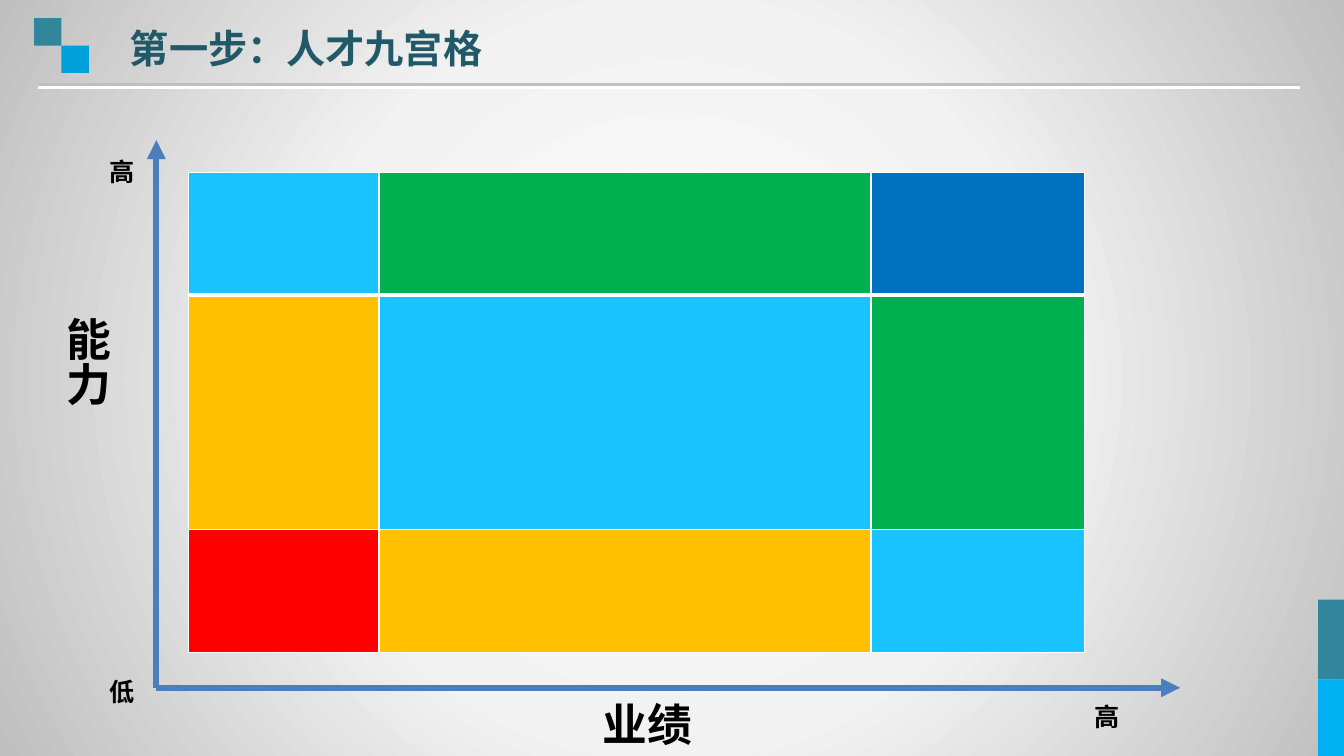
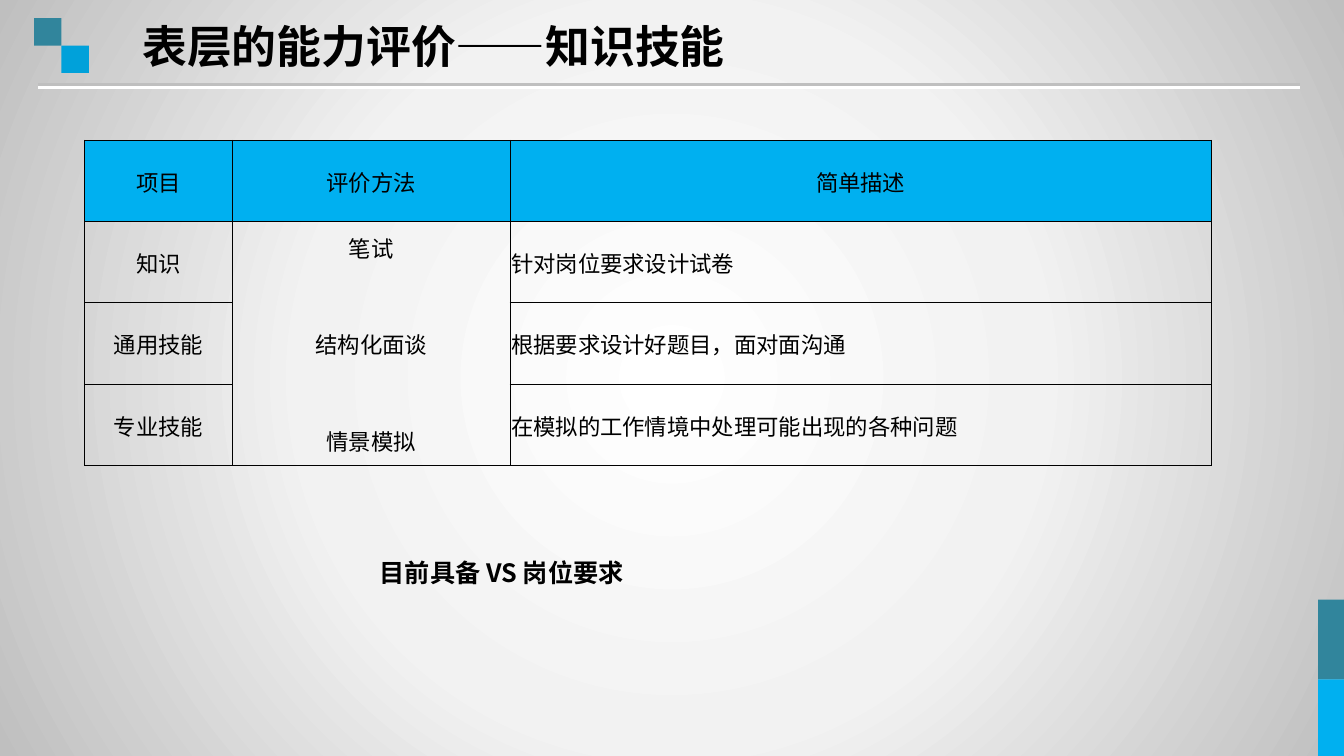
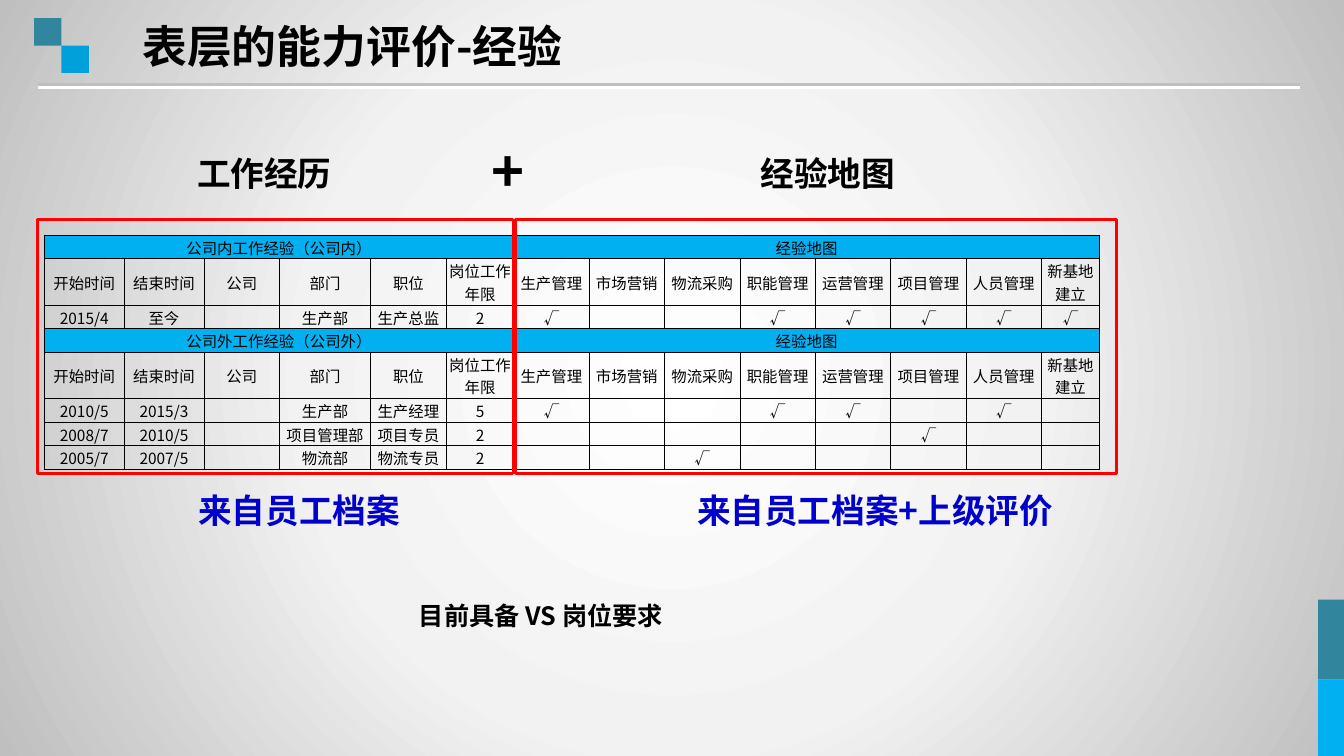
from collections import namedtuple

from lxml.etree import SubElement
from pptx import Presentation
from pptx.dml.color import RGBColor
from pptx.enum.shapes import MSO_CONNECTOR as Connector, MSO_SHAPE as Preset
from pptx.enum.text import MSO_ANCHOR as Anchor, MSO_AUTO_SIZE as AutoSize, PP_ALIGN as Align
from pptx.oxml import parse_xml
from pptx.oxml.ns import nsdecls, qn
from pptx.util import Cm, Pt

FONT = "Noto Sans CJK SC"
COLORS = {
    "black": "000000", "white": "FFFFFF", "pale": "F2F2F2", "gray": "BFBFBF",
    "teal": "31859C", "dark_teal": "215968", "cyan": "00B0F0", "azure": "00A1DA",
    "sky": "19C3FF", "green": "00B050", "blue": "0070C0", "amber": "FFC000",
    "red": "FF0000", "axis": "4B7EBC", "caption": "0000CC",
}
SLIDE_WIDTH, SLIDE_HEIGHT = 33.87, 19.05
COMPARISON = "目前具备 VS 岗位要求"
TICK = "√"

Box = namedtuple("Box", "left top width height")


def color(name):
    return RGBColor.from_string(COLORS[name])


def lengths(values):
    return [Cm(value) for value in values]


def within(box, left, top, width, height):
    return Box(box.left + left, box.top + top, width, height)


def set_font(paragraph, size, color_name="black", bold=False):
    font = paragraph.font
    font.size = Pt(size)
    font.bold = bold
    font.color.rgb = color(color_name)
    font.name = FONT
    SubElement(font._rPr, qn("a:ea"), typeface=FONT)


def fill_frame(shape, text, size, color_name="black"):
    frame = shape.text_frame
    frame.word_wrap = True
    frame.auto_size = AutoSize.NONE
    frame.vertical_anchor = Anchor.MIDDLE
    paragraph = frame.paragraphs[0]
    paragraph.text = text
    paragraph.alignment = Align.LEFT
    set_font(paragraph, size, color_name, bold=True)
    return paragraph


def add_text(slide, box, text, size, color_name="black"):
    return fill_frame(slide.shapes.add_textbox(*lengths(box)), text, size, color_name)


def add_rectangle(slide, box, fill=None, line=None):
    shape = slide.shapes.add_shape(Preset.RECTANGLE, *lengths(box))
    shape.shadow.inherit = False
    if fill:
        shape.fill.solid()
        shape.fill.fore_color.rgb = color(fill)
    else:
        shape.fill.background()
    if line:
        shape.line.color.rgb = color(line)
        shape.line.width = Pt(2)
    else:
        shape.line.fill.background()
    return shape


def add_line(slide, start, end, color_name, width):
    line = slide.shapes.add_connector(Connector.STRAIGHT, *lengths(start + end))
    line.line.color.rgb = color(color_name)
    line.line.width = Pt(width)
    effects = SubElement(line.element.spPr, qn("a:effectLst"))
    return line, effects


def add_backdrop(slide):
    backdrop = add_rectangle(slide, Box(0, 0, SLIDE_WIDTH, SLIDE_HEIGHT))
    stops = "".join(
        f'<a:gs pos="{position}"><a:srgbClr val="{COLORS[name]}"/></a:gs>'
        for position, name in ((0, "white"), (48000, "pale"), (100000, "gray"))
    )
    gradient = parse_xml(
        f'<a:gradFill {nsdecls("a")} rotWithShape="1"><a:gsLst>{stops}</a:gsLst>'
        '<a:path path="circle"><a:fillToRect l="50000" t="50000" r="50000" b="50000"/>'
        "</a:path></a:gradFill>"
    )
    properties = backdrop.element.spPr
    properties.replace(properties.find(qn("a:noFill")), gradient)


def add_header_rule(slide):
    rule, effects = add_line(slide, (0.97, 2.13), (32.77, 2.13), "gray", 2.25)
    shadow = SubElement(effects, qn("a:outerShdw"), blurRad="0", dist=str(Pt(2)),
                        dir="5400000", algn="t", rotWithShape="0")
    SubElement(shadow, qn("a:srgbClr"), val=COLORS["white"])


def dress_layout(layout, slide):
    for placeholder in list(layout.placeholders):
        if placeholder.placeholder_format.idx:
            placeholder.element.getparent().remove(placeholder.element)
    add_backdrop(slide)
    add_rectangle(slide, Box(33.22, 15.11, 0.65, 2.01), "teal")
    add_rectangle(slide, Box(33.22, 17.12, 0.65, 1.93), "cyan")
    add_header_rule(slide)
    add_rectangle(slide, Box(0.86, 0.46, 0.69, 0.69), "teal")
    add_rectangle(slide, Box(1.55, 1.15, 0.69, 0.69), "azure")
    for shape in list(slide.shapes):
        if not shape.is_placeholder:
            layout.shapes.element.append(shape.element)


def set_title(slide, box, text, size=32, color_name="black"):
    title = slide.shapes.title
    title.left, title.top, title.width, title.height = lengths(box)
    fill_frame(title, text, size, color_name)


def set_borders(cell, color_name, width, **special):
    properties = cell._tc.get_or_add_tcPr()
    for side in "LRTB":
        line = SubElement(properties, qn(f"a:ln{side}"), w=str(Pt(special.get(side, width))))
        fill = SubElement(line, qn("a:solidFill"))
        SubElement(fill, qn("a:srgbClr"), val=COLORS[color_name])


def add_table(slide, left, top, columns, rows):
    box = Box(left, top, sum(columns), sum(rows))
    table = slide.shapes.add_table(len(rows), len(columns), *lengths(box)).table
    table.first_row = table.horz_banding = False
    for column, width in zip(table.columns, columns):
        column.width = Cm(width)
    for row, height in zip(table.rows, rows):
        row.height = Cm(height)
    return table


def format_cell(cell, text, size, fill=None, align=Align.CENTER, anchor=Anchor.MIDDLE, gap=0):
    cell.margin_left = cell.margin_right = cell.margin_top = Cm(0.03)
    cell.margin_bottom = 0
    cell.vertical_anchor = anchor
    set_borders(cell, "black", 0.5)
    if fill:
        cell.fill.solid()
        cell.fill.fore_color.rgb = color(fill)
    else:
        cell.fill.background()
    cell.text_frame.text = text
    for index, paragraph in enumerate(cell.text_frame.paragraphs):
        paragraph.alignment = align
        set_font(paragraph, size)
        if index:
            paragraph.space_before = Pt(gap)
        if not text:
            SubElement(paragraph._p, qn("a:endParaRPr"), sz=str(size * 100))


def add_nine_box(slide, left, top):
    fills = (
        ("sky", "green", "blue"),
        ("amber", "sky", "green"),
        ("red", "amber", "sky"),
    )
    table = add_table(slide, left, top, (4.8, 12.4, 5.38), (3.1, 5.9, 3.1))
    heavy_sides = ({"B": 3}, {"T": 3}, {})
    for row, (names, heavy) in enumerate(zip(fills, heavy_sides)):
        for column, name in enumerate(names):
            cell = table.cell(row, column)
            set_borders(cell, "white", 1, **heavy)
            cell.fill.solid()
            cell.fill.fore_color.rgb = color(name)


def add_axes(slide, box):
    origin = (box.left, box.top + box.height)
    ends = ((box.left, box.top), (box.left + box.width, origin[1]))
    for end in ends:
        axis, _ = add_line(slide, origin, end, "axis", 4.5)
        SubElement(axis.line._get_or_add_ln(), qn("a:tailEnd"), type="triangle")
    ability = add_text(slide, within(box, -2.52, 4.19, 2.39, 3), "能力", 32)
    ability.line_spacing = 0.83
    add_text(slide, within(box, 11, 13.89, 8.74, 1.63), "业绩", 32)
    for left, top, text in ((-1.43, 0.28, "高"), (-1.43, 13.39, "低"), (23.39, 14.02, "高")):
        add_text(slide, within(box, left, top, 1.91, 1.02), text, 18)


def add_skill_table(slide, left, top):
    rows = (
        ("项目", "评价方法", "简单描述"),
        ("知识", "笔试\n结构化面谈\n情景模拟", "针对岗位要求设计试卷"),
        ("通用技能", "", "根据要求设计好题目，面对面沟通"),
        ("专业技能", "", "在模拟的工作情境中处理可能出现的各种问题"),
    )
    table = add_table(slide, left, top, (3.73, 6.99, 17.68), [2.05] * len(rows))
    table.cell(1, 1).merge(table.cell(3, 1))
    for row, texts in enumerate(rows):
        for column, text in enumerate(texts):
            described = row > 0 and column == 2
            format_cell(table.cell(row, column), text, 16,
                        fill=None if row else "cyan",
                        align=Align.LEFT if described else Align.CENTER, gap=46)


def job_row(start, end, department, position, years, marks):
    ticks = [TICK if index in marks else "" for index in range(8)]
    return [start, end, "", department, position, years] + ticks


def add_experience_table(slide, left, top):
    headings = ["开始时间", "结束时间", "公司", "部门", "职位", "岗位工作年限",
                "生产管理", "市场营销", "物流采购", "职能管理", "运营管理",
                "项目管理", "人员管理", "新基地建立"]
    sections = (
        ("公司内工作经验（公司内）", [
            job_row("2015/4", "至今", "生产部", "生产总监", "2", (0, 3, 4, 5, 6, 7)),
        ]),
        ("公司外工作经验（公司外）", [
            job_row("2010/5", "2015/3", "生产部", "生产经理", "5", (0, 3, 4, 6)),
            job_row("2008/7", "2010/5", "项目管理部", "项目专员", "2", (5,)),
            job_row("2005/7", "2007/5", "物流部", "物流专员", "2", (2,)),
        ]),
    )
    rows = []
    for name, jobs in sections:
        band = [name] + [""] * 5 + ["经验地图"] + [""] * 7
        rows += [("band", band), ("heading", headings)]
        rows += [("job", job) for job in jobs]
    columns = [2.01, 2.01, 1.91, 2.29, 1.91, 1.7] + [1.9] * 7 + [1.46]
    heights = [1.17 if kind == "heading" else 0.58 for kind, _ in rows]
    table = add_table(slide, left, top, columns, heights)
    for row, (kind, texts) in enumerate(rows):
        if kind == "band":
            table.cell(row, 0).merge(table.cell(row, 5))
            table.cell(row, 6).merge(table.cell(row, 13))
        for column, text in enumerate(texts):
            format_cell(table.cell(row, column), text, 11,
                        fill="cyan" if kind == "band" else None,
                        anchor=Anchor.MIDDLE if kind == "heading" else Anchor.BOTTOM)


def add_experience_panel(slide, box, heading, heading_left, caption, caption_left):
    add_rectangle(slide, box, line="red")
    add_text(slide, within(box, heading_left, -1.81, 4.8, 1.27), heading, 24)
    caption_box = within(box, caption_left, 6.67, box.width - caption_left, 1.27)
    add_text(slide, caption_box, caption, 24, "caption")


def build_nine_box_slide(slide):
    set_title(slide, Box(3.02, 0.48, 12.7, 1.45), "第一步：人才九宫格", 28, "dark_teal")
    add_nine_box(slide, 4.75, 4.34)
    add_axes(slide, Box(3.94, 3.53, 25.8, 13.8))


def build_skill_slide(slide):
    set_title(slide, Box(3.33, 0.33, 17.4, 1.63), "表层的能力评价——知识技能")
    add_skill_table(slide, 2.13, 3.53)
    add_text(slide, Box(9.32, 13.92, 12.8, 1.02), COMPARISON, 18)


def build_experience_slide(slide):
    set_title(slide, Box(3.33, 0.33, 13.41, 1.63), "表层的能力评价-经验")
    add_experience_table(slide, 1.12, 5.92)
    add_experience_panel(slide, Box(0.94, 5.54, 11.99, 6.4),
                         "工作经历", 3.78, "来自员工档案", 3.81)
    add_experience_panel(slide, Box(13, 5.54, 15.14, 6.4),
                         "经验地图", 5.92, "来自员工档案+上级评价", 4.32)
    add_text(slide, Box(12.14, 3.3, 3.61, 1.96), "+", 40)
    add_text(slide, Box(10.31, 14.99, 12.8, 1.02), COMPARISON, 18)


def main():
    presentation = Presentation()
    presentation.slide_width = Cm(SLIDE_WIDTH)
    presentation.slide_height = Cm(SLIDE_HEIGHT)
    layout = presentation.slide_layouts[5]
    builders = (build_nine_box_slide, build_skill_slide, build_experience_slide)
    slides = [presentation.slides.add_slide(layout) for _ in builders]
    dress_layout(layout, slides[0])
    for build, slide in zip(builders, slides):
        build(slide)
    presentation.save("out.pptx")


if __name__ == "__main__":
    main()
